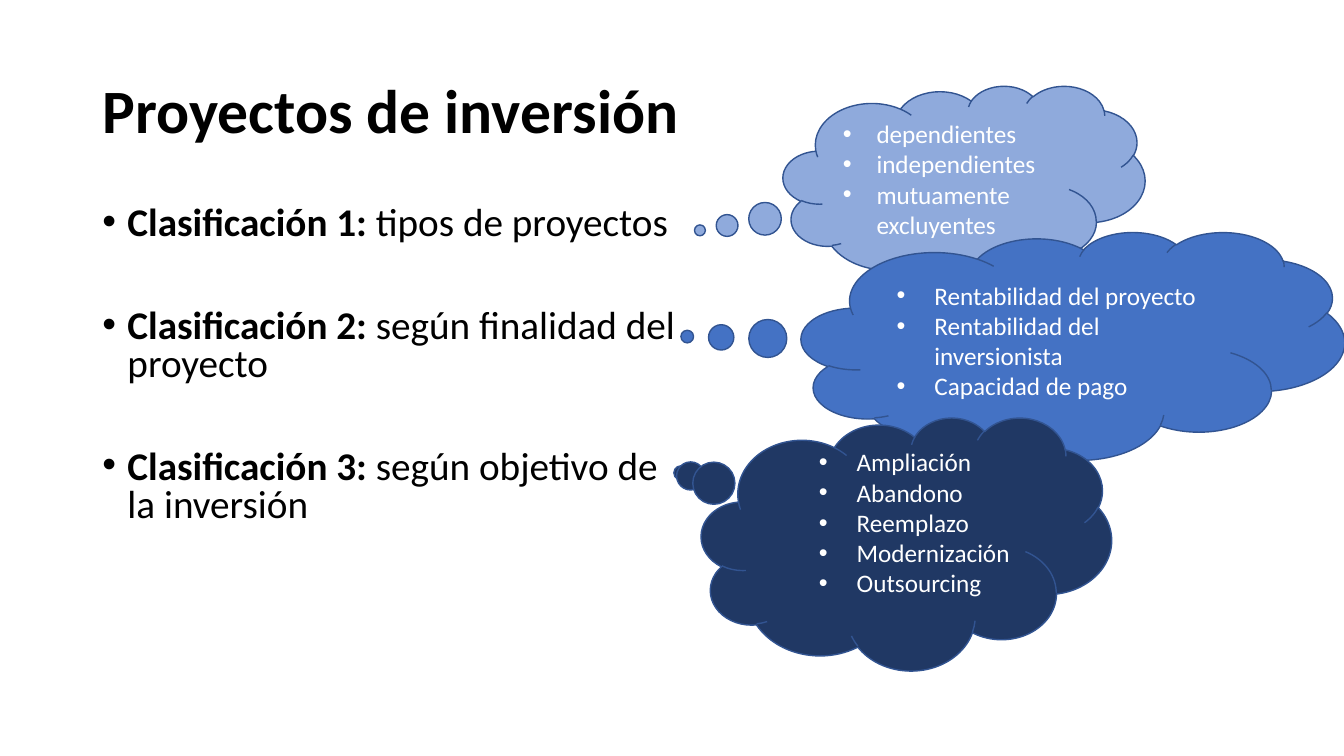
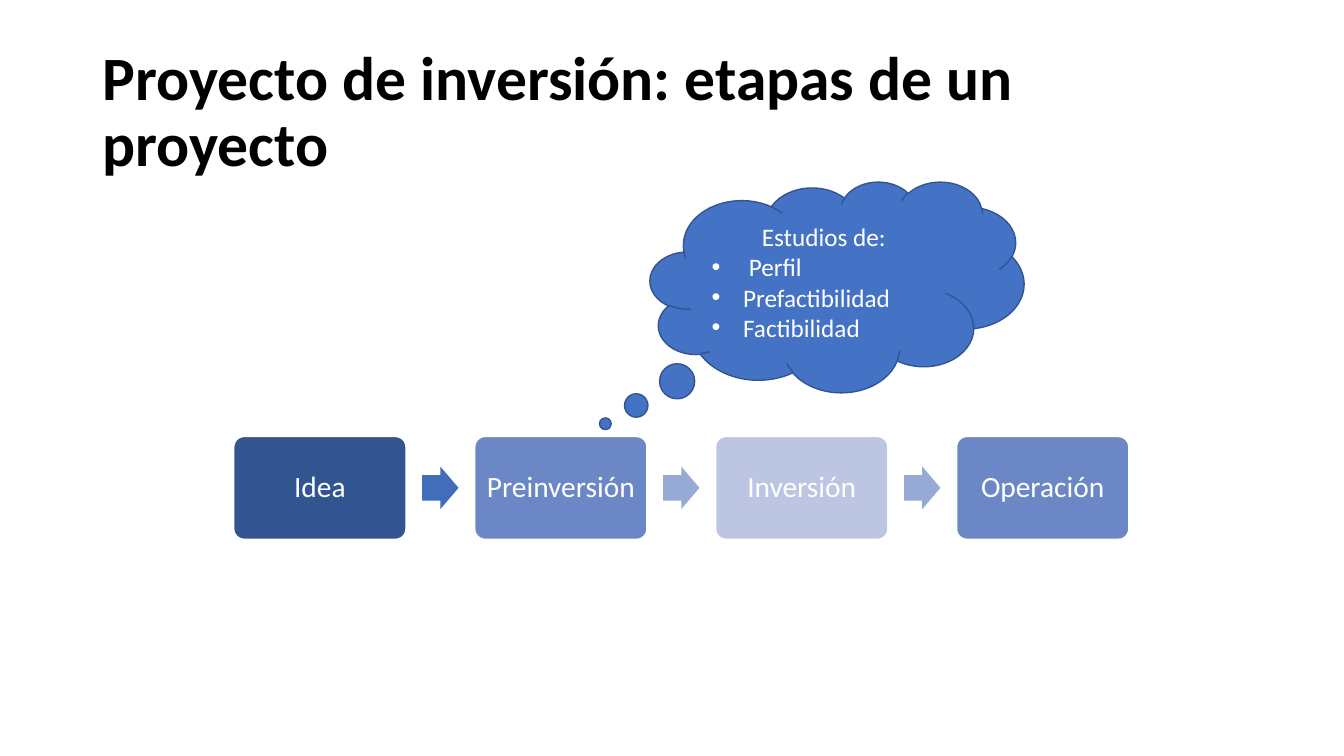
from lxml import etree
from pptx import Presentation
from pptx.dml.color import RGBColor
from pptx.enum.shapes import MSO_SHAPE
from pptx.enum.text import MSO_ANCHOR, MSO_AUTO_SIZE, PP_ALIGN
from pptx.oxml.ns import qn
from pptx.util import Pt

CLOUD = MSO_SHAPE.CLOUD_CALLOUT
ROUNDED = MSO_SHAPE.ROUNDED_RECTANGLE
ARROW = MSO_SHAPE.RIGHT_ARROW
LEFT, CENTER = PP_ALIGN.LEFT, PP_ALIGN.CENTER
MIDDLE = MSO_ANCHOR.MIDDLE
NO_AUTOFIT = MSO_AUTO_SIZE.NONE

FONT = "Calibri"
COLORS = {
    "text": "000000",
    "white": "FFFFFF",
    "outline": "325491",
    "light": "8FAADC",
    "blue": "4472C4",
    "navy": "203864",
    "step_dark": "325491",
    "step_mid": "6C87C5",
    "step_pale": "BCC6E2",
    "arrow_dark": "416DBB",
    "arrow_pale": "97A9D5",
}


def color(name):
    return RGBColor.from_string(COLORS[name])


class Deck:
    """Holds the shared style and the slide being built."""

    def __init__(self):
        self.presentation = Presentation()
        self.presentation.slide_width = Pt(960)
        self.presentation.slide_height = Pt(540)
        self.slide = None

    def add_slide(self, title):
        layout = self.presentation.slide_layouts[5]
        self.slide = self.presentation.slides.add_slide(layout)
        shape = self.slide.shapes.title
        shape.left, shape.top = Pt(66), Pt(28.8)
        shape.width, shape.height = Pt(828), Pt(104.4)
        frame = shape.text_frame
        frame.text = title
        frame.word_wrap = True
        frame.auto_size = NO_AUTOFIT
        frame.vertical_anchor = MIDDLE
        paragraph = frame.paragraphs[0]
        paragraph.line_spacing = 0.9
        self.format_paragraph(paragraph, 44, "text", bold=True)

    def format_paragraph(self, paragraph, size, color_name, bold=False, align=LEFT):
        paragraph.alignment = align
        for run in paragraph.runs:
            run.font.name = FONT
            run.font.size = Pt(size)
            run.font.bold = bold
            run.font.color.rgb = color(color_name)

    def add_bullet(self, paragraph, margin, hanging):
        properties = paragraph._p.get_or_add_pPr()
        properties.set("marL", str(Pt(margin)))
        properties.set("indent", str(-Pt(hanging)))
        etree.SubElement(properties, qn("a:buFont")).set("typeface", "Arial")
        etree.SubElement(properties, qn("a:buChar")).set("char", "•")

    def add_shape(self, kind, box, fill, line=None, adjustments=()):
        shape = self.slide.shapes.add_shape(kind, *map(Pt, box))
        shape.shadow.inherit = False
        shape.fill.solid()
        shape.fill.fore_color.rgb = color(fill)
        if line:
            shape.line.color.rgb = color(line)
            shape.line.width = Pt(1)
        else:
            shape.line.fill.background()
        for index, value in enumerate(adjustments):
            shape.adjustments[index] = value
        return shape

    def add_labelled_list(self, box, items):
        frame = self.slide.shapes.add_textbox(*map(Pt, box)).text_frame
        frame.word_wrap = True
        for index, (label, description) in enumerate(items):
            paragraph = frame.add_paragraph() if index else frame.paragraphs[0]
            paragraph.text = label
            paragraph.add_run().text = description
            paragraph.line_spacing = 0.8
            if index:
                paragraph.space_before = Pt(46.7)
            self.format_paragraph(paragraph, 28, "text")
            paragraph.runs[0].font.bold = True
            self.add_bullet(paragraph, 18, 18)

    def add_cloud(self, box, tail, fill, items, margin, hanging,
                  heading=None, bottom_inset=3.6):
        shape = self.add_shape(CLOUD, box, fill, "outline", tail)
        frame = shape.text_frame
        frame.text = "\n".join([heading] + items if heading else items)
        frame.vertical_anchor = MIDDLE
        frame.margin_bottom = Pt(bottom_inset)
        for index, paragraph in enumerate(frame.paragraphs):
            is_heading = bool(heading) and index == 0
            self.format_paragraph(paragraph, 18, "white",
                                  align=CENTER if is_heading else LEFT)
            if not is_heading:
                self.add_bullet(paragraph, margin, hanging)

    def add_step(self, box, text, fill):
        shape = self.add_shape(ROUNDED, box, fill, "white", (0.1,))
        frame = shape.text_frame
        frame.text = text
        frame.vertical_anchor = MIDDLE
        frame.margin_left = frame.margin_right = Pt(3)
        paragraph = frame.paragraphs[0]
        paragraph.line_spacing = 0.9
        self.format_paragraph(paragraph, 21, "white", align=CENTER)

    def add_arrow(self, box, fill):
        self.add_shape(ARROW, box, fill, adjustments=(0.6, 0.5))


def build_classification(deck):
    deck.add_slide("Proyectos de inversión")
    deck.add_labelled_list((66, 144, 435, 245), [
        ("Clasificación 1: ", "tipos de proyectos"),
        ("Clasificación 2: ", "según finalidad del proyecto"),
        ("Clasificación 3: ", "según objetivo de la inversión"),
    ])

    # One thought cloud per classification
    deck.add_cloud((559.4, 61.2, 258.5, 139.7), (-0.73, 0.24), "light",
                   ["dependientes", "independientes", "mutuamente excluyentes"],
                   24, 24)
    deck.add_cloud((572.4, 165.6, 388, 162.7), (-0.71, -0.04), "blue",
                   ["Rentabilidad del proyecto", "Rentabilidad del inversionista",
                    "Capacidad de pago"],
                   34.5, 27)
    deck.add_cloud((501, 298, 293, 180.7), (-0.55, -0.28), "navy",
                   ["Ampliación", "Abandono", "Reemplazo", "Modernización",
                    "Outsourcing"],
                   63.5, 27, bottom_inset=25.6)


def build_stages(deck):
    deck.add_slide("Proyecto de inversión: etapas de un proyecto")
    deck.add_cloud((464.4, 129.6, 267, 150.5), (-0.62, 0.65), "blue",
                   [" Perfil", "Prefactibilidad", "Factibilidad"],
                   22.5, 22.5, heading="Estudios de:")

    # Process row: equal steps, with an arrow centred in each gap
    left, top, width, height, pitch = 167, 311.8, 123, 73.4, 172.1
    arrow_width, arrow_height = 26, 30.4
    steps = [
        ("Idea", "step_dark", "arrow_dark"),
        ("Preinversión", "step_mid", "arrow_pale"),
        ("Inversión", "step_pale", "arrow_pale"),
        ("Operación", "step_mid", None),
    ]
    arrow_offset = (width + pitch - arrow_width) / 2
    arrow_top = top + (height - arrow_height) / 2
    for index, (text, fill, arrow_fill) in enumerate(steps):
        step_left = left + index * pitch
        deck.add_step((step_left, top, width, height), text, fill)
        if arrow_fill:
            deck.add_arrow((step_left + arrow_offset, arrow_top,
                            arrow_width, arrow_height), arrow_fill)


def main():
    deck = Deck()
    build_classification(deck)
    build_stages(deck)
    deck.presentation.save("out.pptx")


if __name__ == "__main__":
    main()
